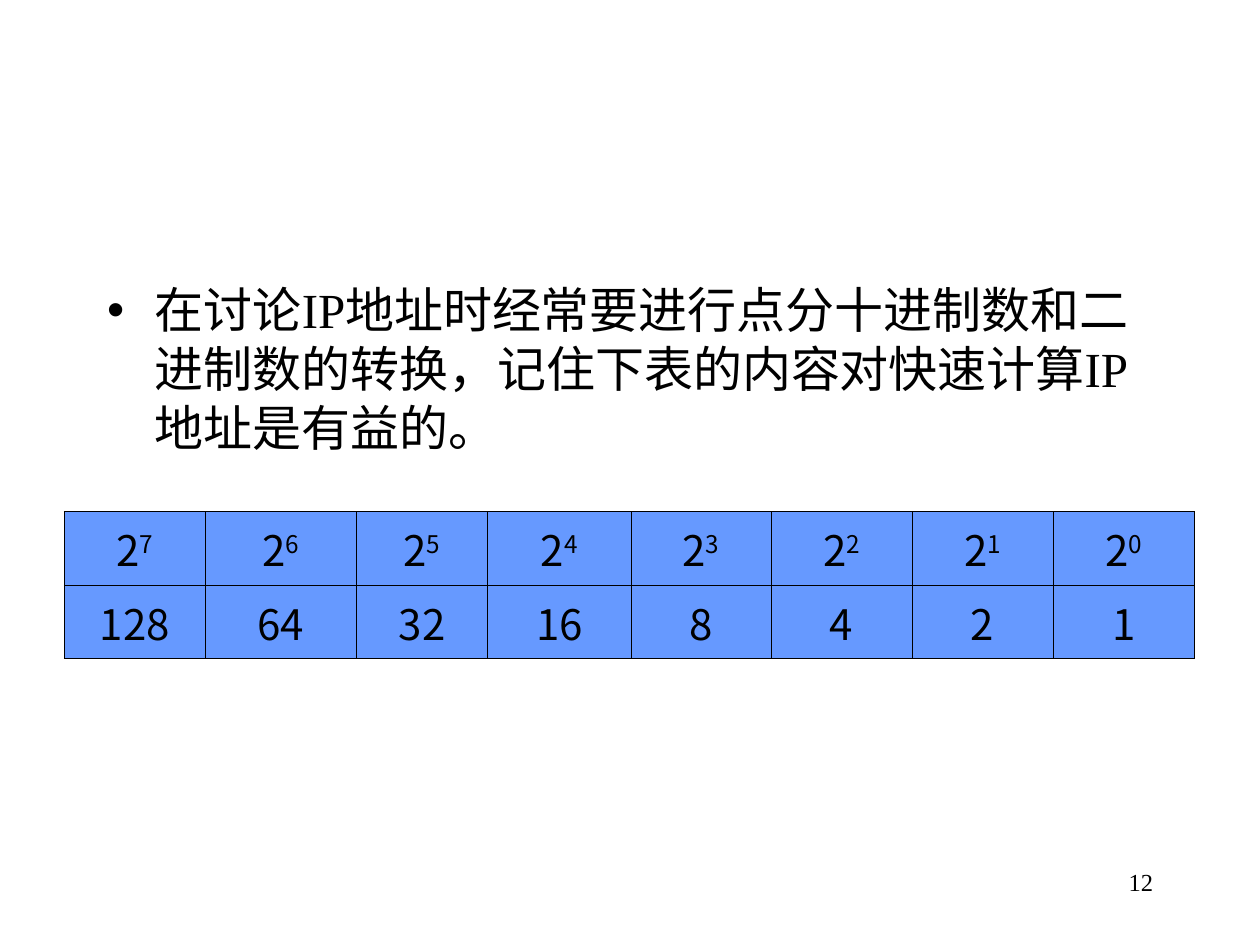
"""Build a slide with a table of the powers of two used in IP address conversion."""
from lxml import etree
from pptx import Presentation
from pptx.dml.color import RGBColor
from pptx.enum.text import PP_ALIGN
from pptx.oxml import parse_xml
from pptx.oxml.ns import nsdecls, qn
from pptx.util import Inches, Pt

LEFT, CENTER, RIGHT = PP_ALIGN.LEFT, PP_ALIGN.CENTER, PP_ALIGN.RIGHT
CJK_FONT, LATIN_FONT = "Noto Sans CJK SC", "Times New Roman"


def color(value):
    return RGBColor.from_string(value)


def add_text(paragraph, text, size, font=LATIN_FONT, align=LEFT, baseline=None):
    paragraph.alignment = align
    run = paragraph.add_run()
    run.text = text
    run.font.size = Pt(size)
    run.font.bold = False
    run.font.color.rgb = color("000000")
    run.font.name = font
    properties = run.font._element
    etree.SubElement(properties, qn("a:ea"), typeface=CJK_FONT)
    if baseline:
        properties.set("baseline", str(baseline))


prs = Presentation()
prs.slide_width, prs.slide_height = Inches(10), Inches(7.5)
slide = prs.slides.add_slide(prs.slide_layouts[1])
title = slide.shapes.title
title._element.getparent().remove(title._element)

body = slide.placeholders[1]
body.left, body.top, body.width, body.height = map(Inches, (0.75, 2.17, 8.5, 4.5))
advice = body.text_frame.paragraphs[0]
indents = advice._p.get_or_add_pPr()
indents.set("marL", str(Inches(0.38)))
indents.set("indent", str(Inches(-0.38)))
etree.SubElement(indents, qn("a:buChar"), char="•")
advice.space_before = Pt(0)
advice.line_spacing = Pt(33.7)
add_text(advice, "在讨论IP地址时经常要进行点分十进制数和二进制数的转换，记住下表的内容对快速计算IP地址是有益的。", 28)

column_widths = [1.12, 1.2, 1.04, 1.14, 1.11, 1.12, 1.12, 1.12]
powers = slide.shapes.add_table(
    2, len(column_widths), Inches(0.51), Inches(4.06), Inches(8.98), Inches(1.02)
).table
for column, width in zip(powers.columns, column_widths):
    column.width = Inches(width)

for index in range(len(column_widths)):
    exponent = len(column_widths) - 1 - index
    power_cell, value_cell = powers.cell(0, index), powers.cell(1, index)
    power = power_cell.text_frame.paragraphs[0]
    add_text(power, "2", 24, CJK_FONT, CENTER)
    add_text(power, str(exponent), 24, CJK_FONT, CENTER, 30000)
    add_text(value_cell.text_frame.paragraphs[0], str(2**exponent), 24, CJK_FONT, CENTER)
    for cell in (power_cell, value_cell):
        for side in ("lnL", "lnR", "lnT", "lnB"):
            cell._tc.get_or_add_tcPr().append(parse_xml(
                f'<a:{side} {nsdecls("a")} w="{Pt(0.45)}"><a:solidFill>'
                f'<a:srgbClr val="000000"/></a:solidFill></a:{side}>'
            ))
        cell.fill.solid()
        cell.fill.fore_color.rgb = color("6699FF")

page_number = slide.shapes.add_textbox(Inches(7.17), Inches(6.83), Inches(2.08), Inches(0.5))
page_number.text_frame.word_wrap = True
add_text(page_number.text_frame.paragraphs[0], "12", 14, align=RIGHT)

prs.save("out.pptx")
